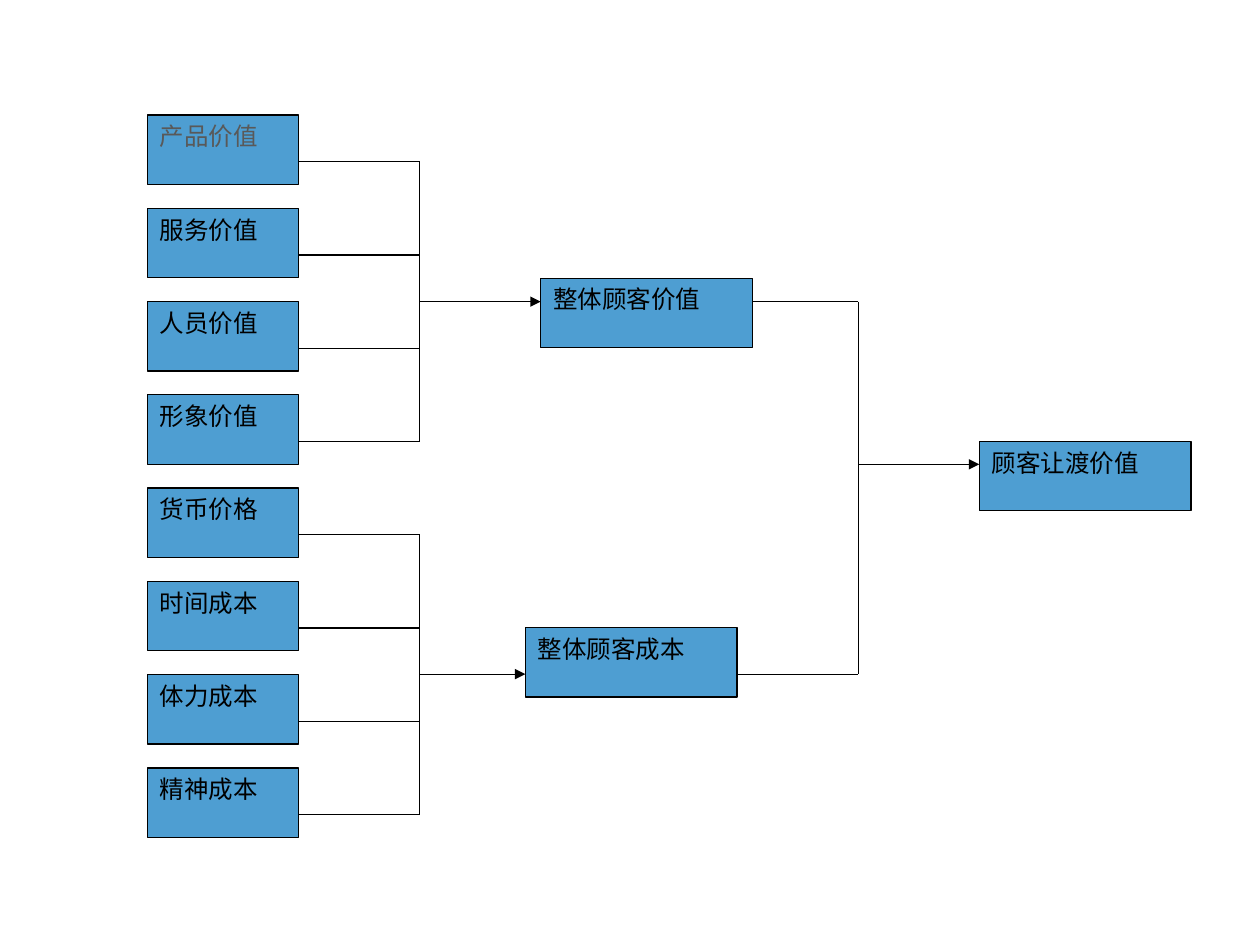
from dataclasses import dataclass

from lxml import etree
from pptx import Presentation
from pptx import util as u
from pptx.dml.color import RGBColor
from pptx.enum import shapes, text
from pptx.oxml import ns


@dataclass(frozen=True)
class Theme:
    fill: str = "4E9ED2"
    ink: str = "000000"
    muted: str = "595959"
    font: str = "Times New Roman"
    text_size: float = 14
    line_width: float = 0.75


THEME = Theme()

VALUES = ["产品价值", "服务价值", "人员价值", "形象价值"]
COSTS = ["货币价格", "时间成本", "体力成本", "精神成本"]

# All lengths are centimetres.
BOX_HEIGHT = 1.4
FACTOR_LEFT, FACTOR_TOP, FACTOR_WIDTH = 2.97, 2.32, 3.05
FACTOR_PITCH = 1.88
FACTOR_RIGHT = FACTOR_LEFT + FACTOR_WIDTH
BRANCH_OFFSET = 0.94
TOTAL_WIDTH = 4.27
FACTOR_TRUNK, TOTAL_TRUNK = 8.46, 17.3
VALUE_LEFT, VALUE_TOP, VALUE_LEVEL = 10.9, 5.61, 6.08
COST_LEFT, COST_TOP, COST_LEVEL = 10.59, 12.65, 13.59
RESULT_LEFT, RESULT_TOP, RESULT_LEVEL = 19.74, 8.9, 9.36


def write_text(shape, content, color=THEME.ink, size=THEME.text_size,
               align=text.PP_ALIGN.JUSTIFY):
    frame = shape.text_frame
    frame.word_wrap = True
    frame.vertical_anchor = text.MSO_ANCHOR.TOP
    paragraph = frame.paragraphs[0]
    paragraph.alignment = align
    run = paragraph.add_run()
    run.text = content
    run.font.name = THEME.font
    run.font.size = u.Pt(size)
    run.font.color.rgb = RGBColor.from_string(color)


def style_line(line):
    line.color.rgb = RGBColor.from_string(THEME.ink)
    line.width = u.Pt(THEME.line_width)


def add_box(slide, label, left, top, width, **text_format):
    shape = slide.shapes.add_shape(
        shapes.MSO_SHAPE.RECTANGLE,
        u.Cm(left), u.Cm(top), u.Cm(width), u.Cm(BOX_HEIGHT))
    shape.shadow.inherit = False
    shape.fill.solid()
    shape.fill.fore_color.rgb = RGBColor.from_string(THEME.fill)
    style_line(shape.line)
    write_text(shape, label, **text_format)


def add_line(slide, start, end, arrow=False):
    connector = slide.shapes.add_connector(
        shapes.MSO_CONNECTOR.STRAIGHT, *(u.Cm(value) for value in start + end))
    style_line(connector.line)
    properties = connector._element.spPr
    if arrow:
        etree.SubElement(properties.find(ns.qn("a:ln")), ns.qn("a:tailEnd"),
                         type="triangle")
    etree.SubElement(properties, ns.qn("a:effectLst"))


def add_bracket(slide, branches, trunk, level, target):
    """Gather (x, y) branches on a vertical trunk and point an arrow at target."""
    for x, y in branches:
        add_line(slide, (x, y), (trunk, y))
    add_line(slide, (trunk, branches[0][1]), (trunk, branches[-1][1]))
    add_line(slide, (trunk, level), (target, level), arrow=True)


def add_factors(slide, labels, first_row, level, target):
    """Stack one group of factor boxes and lead it to its total."""
    branches = []
    for row, label in enumerate(labels, first_row):
        top = FACTOR_TOP + row * FACTOR_PITCH
        color = THEME.muted if row == 0 else THEME.ink
        add_box(slide, label, FACTOR_LEFT, top, FACTOR_WIDTH, color=color)
        branches.append((FACTOR_RIGHT, top + BRANCH_OFFSET))
    add_bracket(slide, branches, FACTOR_TRUNK, level, target)


def main():
    presentation = Presentation()
    presentation.slide_width = u.Cm(25.4)
    presentation.slide_height = u.Cm(19.05)
    slide = presentation.slides.add_slide(presentation.slide_layouts[6])

    add_factors(slide, VALUES, 0, VALUE_LEVEL, VALUE_LEFT)
    add_factors(slide, COSTS, len(VALUES), COST_LEVEL, COST_LEFT)

    add_box(slide, "整体顾客价值", VALUE_LEFT, VALUE_TOP, TOTAL_WIDTH)
    add_box(slide, "整体顾客成本", COST_LEFT, COST_TOP, TOTAL_WIDTH)
    add_box(slide, "顾客让渡价值", RESULT_LEFT, RESULT_TOP, TOTAL_WIDTH)
    totals = [(VALUE_LEFT + TOTAL_WIDTH, VALUE_LEVEL),
              (COST_LEFT + TOTAL_WIDTH, COST_LEVEL)]
    add_bracket(slide, totals, TOTAL_TRUNK, RESULT_LEVEL, RESULT_LEFT)

    presentation.save("out.pptx")


if __name__ == "__main__":
    main()
